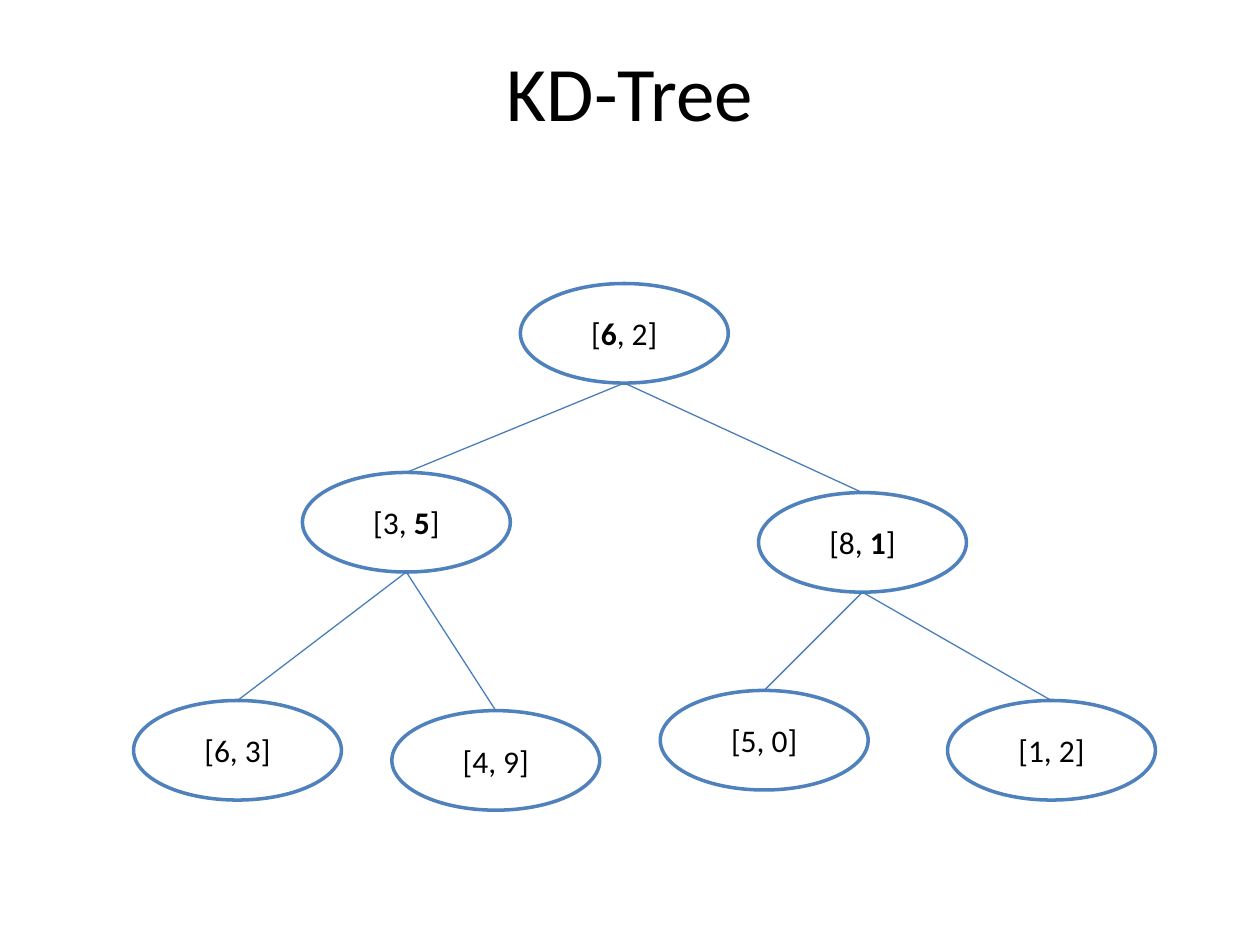
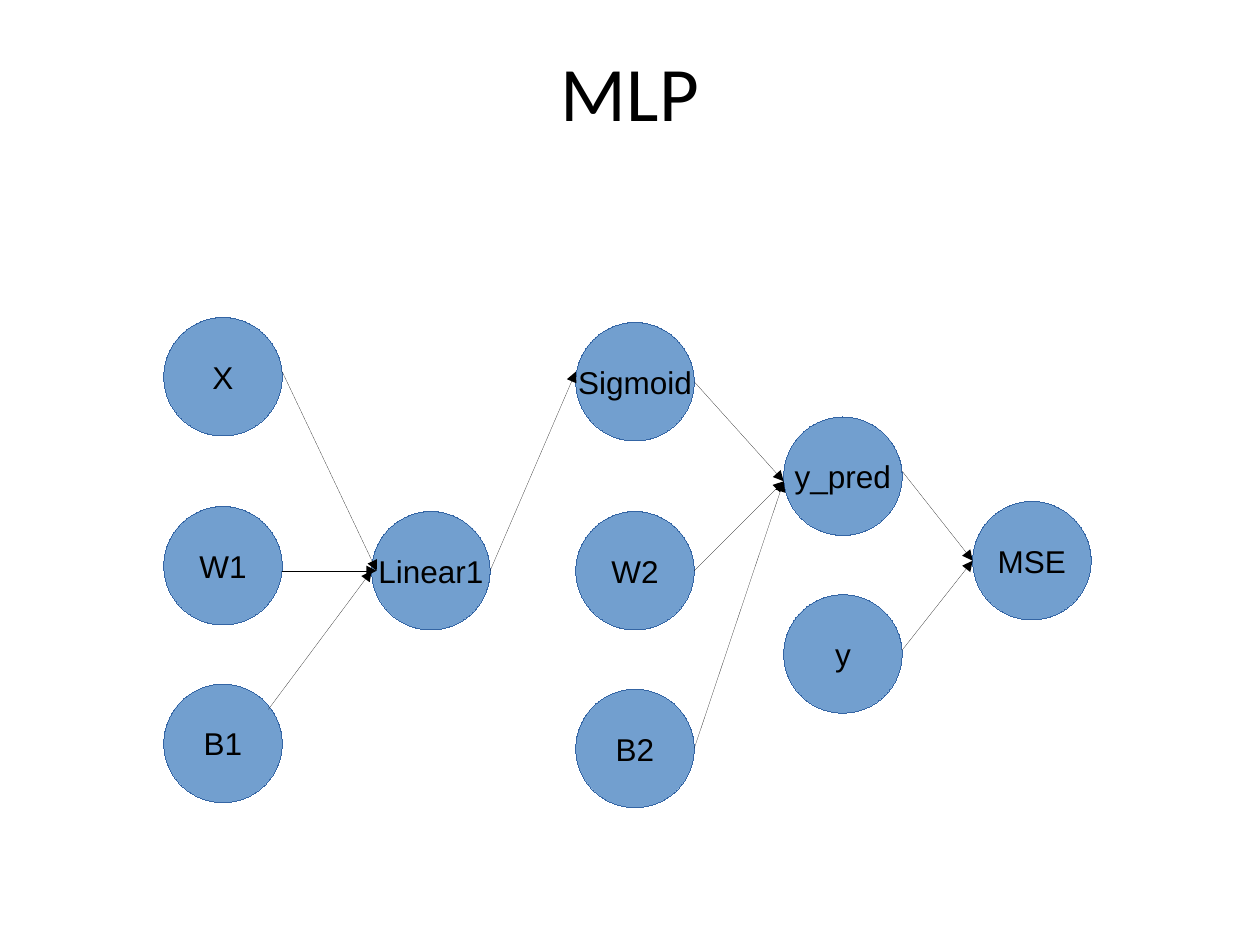
"""Build two slides: a KD-tree and the computation graph of an MLP."""
from lxml.etree import SubElement
from pptx import Presentation
from pptx.dml.color import RGBColor
from pptx.enum.shapes import MSO_CONNECTOR, MSO_SHAPE
from pptx.enum.text import MSO_ANCHOR, MSO_AUTO_SIZE, PP_ALIGN
from pptx.oxml.ns import qn
from pptx.util import Pt

PX = 9144
TITLE_ONLY = 5
COLORS = {
    "paper": "FFFFFF",
    "ink": "000000",
    "tree_outline": "4F81BD",
    "branch": "4A7EBB",
    "neuron": "729FCF",
    "neuron_outline": "3465A4",
}
TREE_SIZE = (165, 79)
NEURON_SIZE = (94, 94)

TREE_NODES = {
    "root": (413, 225, ["[", "*6", ", 2]"]),
    "left": (240, 375, ["[3, ", "*5", "]"]),
    "right": (602, 391, ["[8, ", "*1", "]"]),
    "left_low": (106, 556, ["[6, 3]"]),
    "left_high": (311, 564, ["[4, 9]"]),
    "right_low": (524, 548, ["[5, 0]"]),
    "right_high": (752, 556, ["[1, 2]"]),
}
BRANCHES = {
    "root": ["left", "right"],
    "left": ["left_low", "left_high"],
    "right": ["right_low", "right_high"],
}
NEURONS = {
    "X": (130, 252),
    "W1": (130, 402),
    "B1": (130, 543),
    "Linear1": (295, 406),
    "Sigmoid": (457, 256),
    "W2": (457, 406),
    "B2": (457, 547),
    "y_pred": (622, 331),
    "y": (622, 472),
    "MSE": (772, 398),
}
FLOWS = [
    ("X", "Linear1", (0, -4), (4, 0)),
    ("W1", "Linear1", (0, 4), (4, 0)),
    ("B1", "Linear1", (-11, -27), (0, 0)),
    ("Linear1", "Sigmoid", (0, 0), (0, -8)),
    ("Sigmoid", "y_pred", (0, 0), (0, 4)),
    ("W2", "y_pred", (0, 0), (0, 4)),
    ("B2", "y_pred", (0, 0), (0, 4)),
    ("y_pred", "MSE", (0, -4), (0, 0)),
    ("y", "MSE", (0, -3), (0, 0)),
]


def rgb(color):
    return RGBColor.from_string(COLORS[color])


def drop_style(drawn):
    drawn._element.remove(drawn._element.find(qn("p:style")))


class Deck:
    def __init__(self):
        self.show = Presentation()
        self.show.slide_width, self.show.slide_height = 1000 * PX, 750 * PX
        self.slide = None

    def add_runs(self, frame, pieces, font, size):
        paragraph = frame.paragraphs[0]
        paragraph.alignment = PP_ALIGN.CENTER
        for piece in pieces:
            run = paragraph.add_run()
            run.text = piece.lstrip("*")
            run.font.bold = piece.startswith("*")
            run.font.name, run.font.size = font, Pt(size)
            run.font.color.rgb = rgb("ink")

    def titled_slide(self, heading):
        self.slide = self.show.slides.add_slide(self.show.slide_layouts[TITLE_ONLY])
        title = self.slide.shapes.title
        title.left, title.top, title.width, title.height = (
            length * PX for length in (50, 30, 900, 125))
        title.text_frame.auto_size = MSO_AUTO_SIZE.NONE
        title.text_frame.vertical_anchor = MSO_ANCHOR.TOP
        self.add_runs(title.text_frame, [heading], "Calibri", 44)

    def ellipse(self, corner, size, pieces, font, fill, outline, weight=None, wrap=True):
        node = self.slide.shapes.add_shape(
            MSO_SHAPE.OVAL, *(length * PX for length in (*corner, *size)))
        drop_style(node)
        node.shadow.inherit = False
        node.fill.solid()
        node.fill.fore_color.rgb = rgb(fill)
        node.line.color.rgb = rgb(outline)
        if weight:
            node.line.width = Pt(weight)
        node.text_frame.word_wrap = wrap
        node.text_frame.vertical_anchor = MSO_ANCHOR.MIDDLE
        self.add_runs(node.text_frame, pieces, font, 18)
        return node

    def connector(self, start, end, color, weight=None, arrow=False):
        link = self.slide.shapes.add_connector(
            MSO_CONNECTOR.STRAIGHT, *(int(length) for length in (*start, *end)))
        drop_style(link)
        link.line.color.rgb = rgb(color)
        if weight:
            link.line.width = Pt(weight)
        properties = link._element.spPr
        if arrow:
            SubElement(properties.find(qn("a:ln")), qn("a:tailEnd"), type="triangle")
        SubElement(properties, qn("a:effectLst"))
        return link


def kd_tree(deck):
    deck.titled_slide("KD-Tree")
    nodes = {
        name: deck.ellipse((left, top), TREE_SIZE, pieces, "Calibri",
                           "paper", "tree_outline", 2)
        for name, (left, top, pieces) in TREE_NODES.items()
    }
    for parent_name, children in BRANCHES.items():
        parent = nodes[parent_name]
        base = (parent.left + parent.width / 2, parent.top + parent.height)
        for child in children:
            branch = deck.connector(base, base, "branch", 0.75)
            branch.end_connect(nodes[child], 0)


def mlp(deck):
    deck.titled_slide("MLP")
    for label, corner in NEURONS.items():
        deck.ellipse(corner, NEURON_SIZE, [label], "Arial",
                     "neuron", "neuron_outline", wrap=False)
    width, height = NEURON_SIZE
    for source, target, leave, arrive in FLOWS:
        (x1, y1), (x2, y2) = NEURONS[source], NEURONS[target]
        start = ((x1 + width + leave[0]) * PX, (y1 + height / 2 + leave[1]) * PX)
        end = ((x2 + arrive[0]) * PX, (y2 + height / 2 + arrive[1]) * PX)
        deck.connector(start, end, "ink", arrow=True)


def main():
    deck = Deck()
    kd_tree(deck)
    mlp(deck)
    deck.show.save("out.pptx")


if __name__ == "__main__":
    main()
